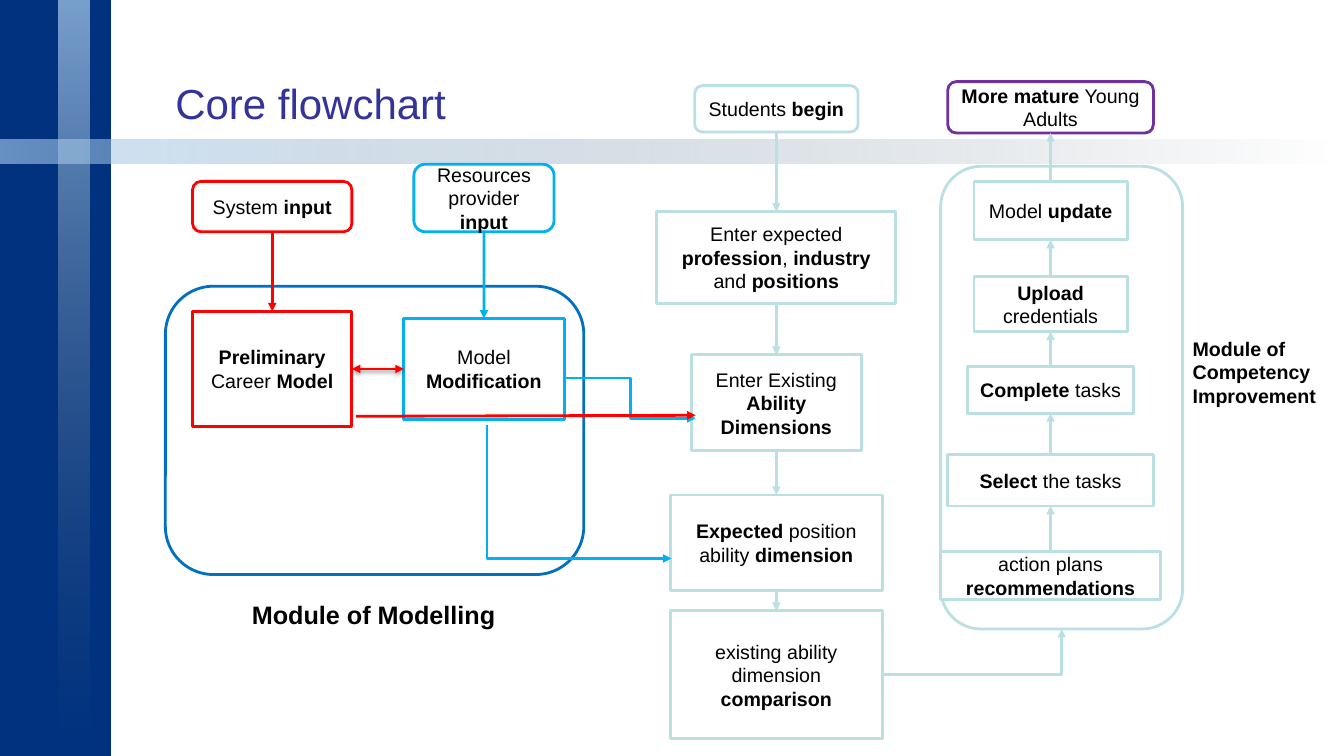
from dataclasses import dataclass
from itertools import pairwise

from lxml.etree import SubElement
from pptx import Presentation
from pptx.dml.color import RGBColor
from pptx.enum.shapes import MSO_CONNECTOR as Link, MSO_SHAPE as Preset
from pptx.enum.text import MSO_ANCHOR as Anchor, PP_ALIGN as Align
from pptx.oxml.ns import qn
from pptx.util import Inches, Pt


@dataclass(frozen=True)
class Theme:
    font: str = "Arial"
    navy: str = "003280"
    sky: str = "AED1EF"
    slate: str = "51616F"
    white: str = "FFFFFF"
    black: str = "000000"
    title: str = "333399"
    blue: str = "0070C0"
    cyan: str = "00B0F0"
    red: str = "FF0000"
    pale: str = "BBE0E3"
    purple: str = "7030A0"
    title_size: int = 30
    label_size: int = 18
    body_size: int = 14
    stroke: int = 2


T = Theme()
SLIDE_W, SLIDE_H = 13.33, 7.5

# Content: *stars* mark bold words
TITLE = "Core flowchart"

# Each flow runs down or up a column: centre x, then its steps in reading order
# Step: text, top, width, height, rounded, colour
FLOWS = {
    "preliminary": (2.7, [
        ("System *input*", 1.8, 1.58, 0.5, True, T.red),
        ("*Preliminary*\nCareer *Model*", 3.09, 1.58, 1.14, False, T.red),
    ]),
    "modification": (4.8, [
        ("Resources provider *input*", 1.63, 1.39, 0.67, True, T.cyan),
        ("Model *Modification*", 3.16, 1.59, 1.0, False, T.cyan),
    ]),
    "students": (7.7, [
        ("Students *begin*", 0.85, 1.62, 0.46, True, T.pale),
        ("Enter expected *profession*, *industry* and *positions*",
         2.1, 2.37, 0.91, False, T.pale),
        ("Enter Existing *Ability Dimensions*", 3.52, 1.69, 0.95, False, T.pale),
        ("*Expected* position ability *dimension*", 4.91, 2.1, 0.95, False, T.pale),
        ("existing ability dimension *comparison*", 6.06, 2.1, 1.27, False, T.pale),
    ]),
    "improvement": (10.42, [
        ("action plans *recommendations*", 5.47, 2.18, 0.48, False, T.pale),
        ("*Select* the tasks", 4.51, 2.05, 0.51, False, T.pale),
        ("*Complete* tasks", 3.64, 1.64, 0.46, False, T.pale),
        ("*Upload* credentials", 2.74, 1.52, 0.55, False, T.pale),
        ("Model *update*", 1.8, 1.52, 0.58, False, T.pale),
        ("*More mature* Young Adults", 0.81, 2.04, 0.51, True, T.purple),
    ]),
}
# Module: frame box, colour, label, label box, label size
MODULES = [
    ((1.64, 2.84, 4.15, 2.86), T.blue, "*Module of Modelling*",
     (2.4, 5.9, 3.1, 0.4), T.label_size),
    ((9.33, 1.65, 2.4, 4.59), T.pale, "*Module of Competency Improvement*",
     (11.73, 3.29, 1.65, 1.04), T.body_size),
]
# Bent feeds out of the modification step: start, end, share of width at the bend
FEEDS = [((5.6, 3.75), (6.9, 4.15), 0.5), ((4.83, 4.22), (6.66, 5.54), 0)]
PRELIMINARY_FEED = ((3.53, 4.13), (6.9, 4.12))
TOP, LEFT, BOTTOM, RIGHT = range(4)

deck = Presentation()
deck.slide_width, deck.slide_height = Inches(SLIDE_W), Inches(SLIDE_H)
slide = deck.slides.add_slide(deck.slide_layouts[6])


def write(shape, marked, size, color=T.black, align=Align.LEFT, anchor=Anchor.TOP):
    frame = shape.text_frame
    frame.word_wrap = True
    frame.vertical_anchor = anchor
    for i, line in enumerate(marked.split("\n")):
        paragraph = frame.add_paragraph() if i else frame.paragraphs[0]
        paragraph.alignment = align
        for j, words in enumerate(line.split("*")):
            if words:
                run = paragraph.add_run()
                run.text = words
                run.font.name, run.font.size = T.font, Pt(size)
                run.font.bold = j % 2 == 1
                run.font.color.rgb = RGBColor.from_string(color)


def add_label(box, marked, size, **style):
    write(slide.shapes.add_textbox(*map(Inches, box)), marked, size, **style)


def add_block(box, fill=T.white, line=None, preset=Preset.RECTANGLE):
    block = slide.shapes.add_shape(preset, *map(Inches, box))
    block.shadow.inherit = False
    block.fill.solid()
    block.fill.fore_color.rgb = RGBColor.from_string(fill)
    if line:
        block.line.color.rgb = RGBColor.from_string(line)
        block.line.width = Pt(T.stroke)
    else:
        block.line.fill.background()
    return block


def add_fading_band(box, angle, opacity):
    fill = add_block(box).fill
    fill.gradient()
    fill.gradient_angle = angle
    for stop, color, alpha in zip(fill.gradient_stops, (T.sky, T.slate), (opacity, 0)):
        stop.color.rgb = RGBColor.from_string(color)
    for tint, alpha in zip(fill._xPr.iter(qn("a:srgbClr")), (opacity, 0)):
        SubElement(tint, qn("a:alpha"), val=str(alpha * 1000))


def add_arrow(color, start=(0, 0), end=(0, 0), kind=Link.STRAIGHT, joins=None,
              both=False):
    arrow = slide.shapes.add_connector(kind, *map(Inches, (*start, *end)))
    if joins:
        source, source_side, target, target_side = joins
        arrow.begin_connect(source, source_side)
        arrow.end_connect(target, target_side)
    arrow.line.color.rgb = RGBColor.from_string(color)
    arrow.line.width = Pt(T.stroke)
    outline = arrow.line._get_or_add_ln()
    for tip in ("a:headEnd", "a:tailEnd") if both else ("a:tailEnd",):
        SubElement(outline, qn(tip), type="triangle")
    effects = SubElement(arrow._element.spPr, qn("a:effectLst"))
    return arrow, arrow._element.spPr.find(qn("a:prstGeom")), effects


# Backdrop and title
add_block((0, 0, 1.1, SLIDE_H), T.navy)
add_fading_band((0.58, 0, 0.31, SLIDE_H), 270, 70)
add_fading_band((0, 1.385, SLIDE_W, 0.24), 0, 60)
add_label((1.64, 0.65, 3.6, 0.67), TITLE, T.title_size, color=T.title,
          anchor=Anchor.BOTTOM)

# Module frames and labels
frames = []
for box, color, label, label_box, size in MODULES:
    frames.append(add_block(box, line=color, preset=Preset.ROUNDED_RECTANGLE))
    add_label(label_box, label, size)

# Steps of each flow, joined one to the next
steps = {}
for flow, (center, entries) in FLOWS.items():
    steps[flow] = []
    for marked, top, width, height, rounded, color in entries:
        preset = Preset.ROUNDED_RECTANGLE if rounded else Preset.RECTANGLE
        step = add_block((center - width / 2, top, width, height), line=color,
                         preset=preset)
        write(step, marked, T.body_size, align=Align.CENTER, anchor=Anchor.MIDDLE)
        steps[flow].append(step)
    upward = entries[0][1] > entries[-1][1]
    leave, arrive = (TOP, BOTTOM) if upward else (BOTTOM, TOP)
    flow_color = T.pale if upward else entries[0][-1]
    for source, target in pairwise(steps[flow]):
        add_arrow(flow_color, joins=(source, leave, target, arrive))

# Links between the flows
for start, end, bend in FEEDS:
    _, geometry, _ = add_arrow(T.cyan, start, end, Link.ELBOW)
    SubElement(geometry.find(qn("a:avLst")), qn("a:gd"), name="adj1",
               fmla=f"val {int(bend * 100000)}")
add_arrow(T.red, *PRELIMINARY_FEED)

_, _, effects = add_arrow(T.red, both=True, joins=(
    steps["preliminary"][-1], RIGHT, steps["modification"][-1], LEFT))
shadow = SubElement(effects, qn("a:outerShdw"), blurRad=str(Pt(3.1)),
                    dist=str(Pt(1.6)), dir="5400000", rotWithShape="0")
shade = SubElement(shadow, qn("a:srgbClr"), val=T.black)
SubElement(shade, qn("a:alpha"), val="38000")

_, geometry, _ = add_arrow(T.pale, (8.75, 6.69), (10.53, 6.24), Link.ELBOW, joins=(
    steps["students"][-1], RIGHT, frames[1], BOTTOM))
geometry.set("prst", "bentConnector2")

deck.save("out.pptx")
